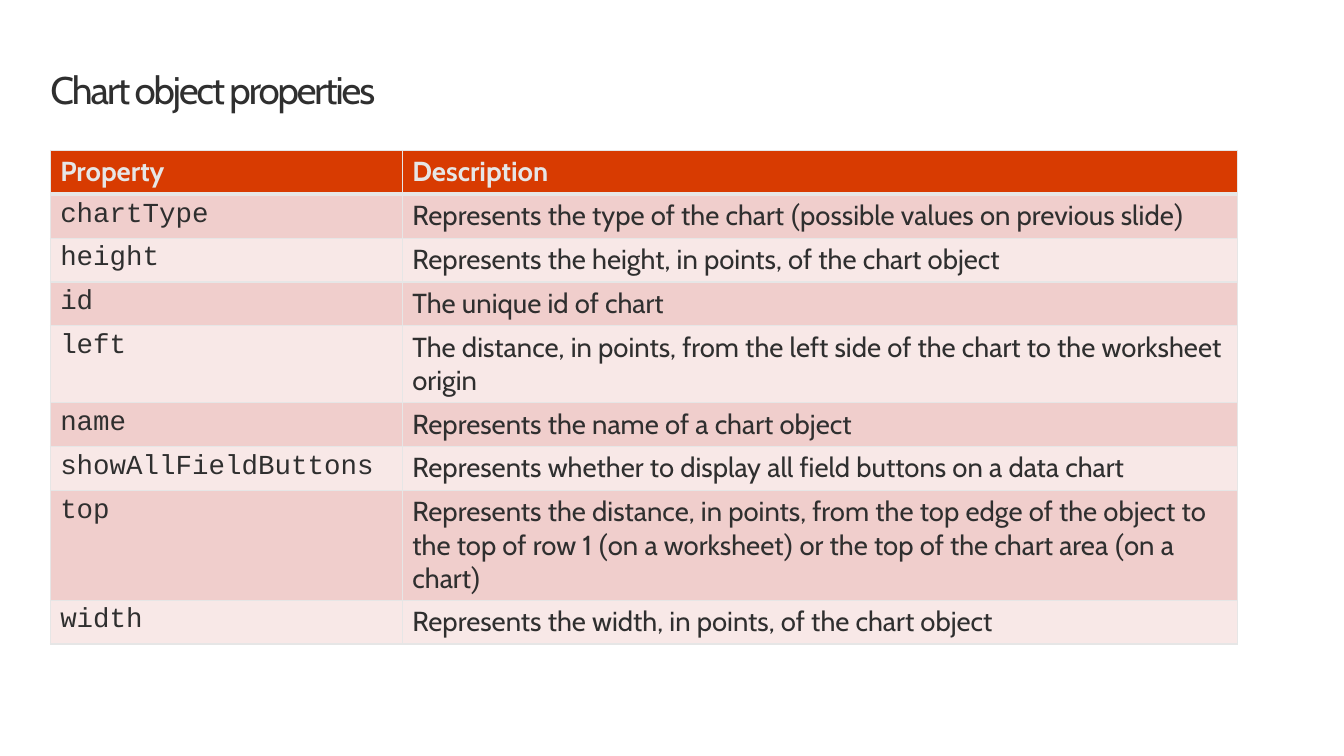
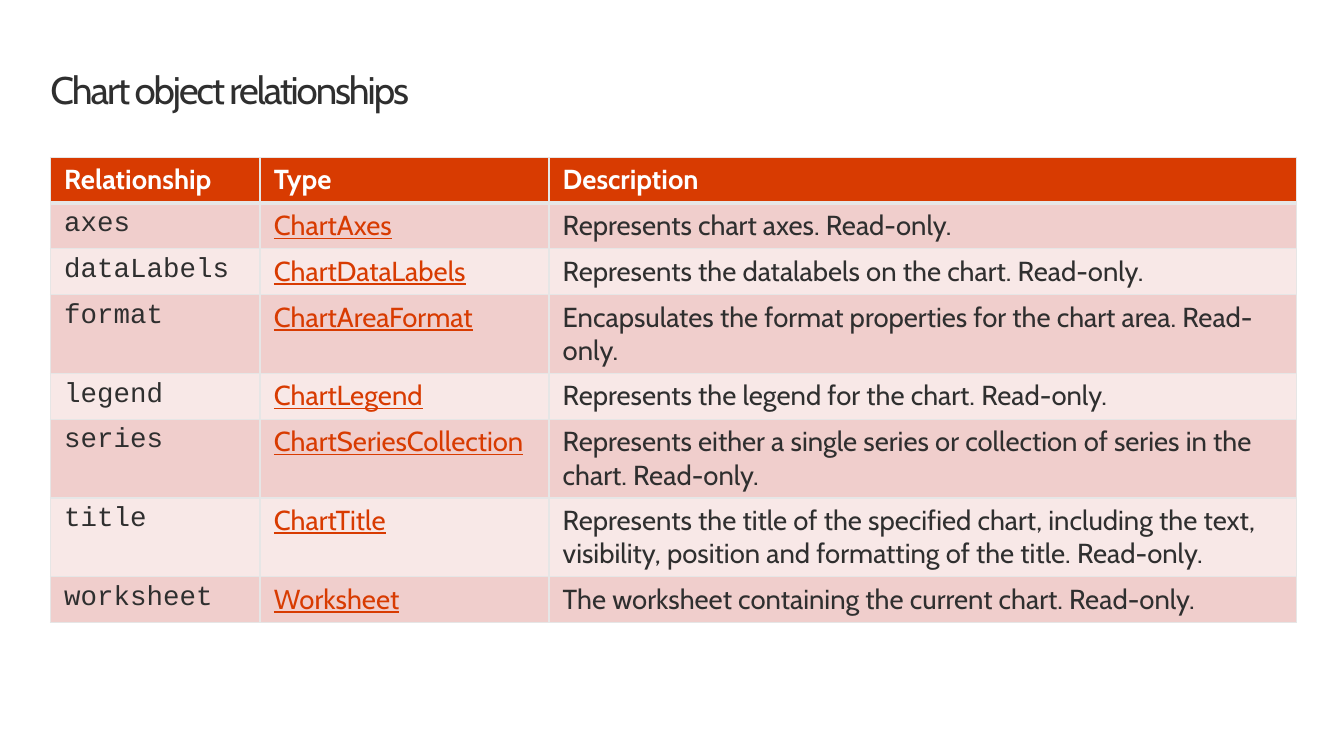
import dataclasses
import itertools

import lxml.etree
import pptx
import pptx.dml.color
import pptx.enum.text
import pptx.oxml.ns
import pptx.util


@dataclasses.dataclass(frozen=True)
class Theme:
    ink: str = "2F2F2F"
    accent: str = "D83B01"
    line: str = "E6E6E6"
    white: str = "FFFFFF"
    bands: tuple = ("F0CECC", "F8E8E7")
    body: str = "Cabin"
    code: str = "Courier New"
    marks: str = "Roboto"
    title: int = 28
    text: int = 20
    thin: int = 1
    thick: int = 3


theme = Theme()
qn = pptx.oxml.ns.qn
Pt = pptx.util.Pt
rgb = pptx.dml.color.RGBColor.from_string


def write(para, text, size, color, face, bold=False, under=False):
    for mark, chars in itertools.groupby(text, lambda c: c in "()"):
        run = para.add_run()
        run.text = "".join(chars)
        font = run.font
        font.name = theme.marks if mark else face
        font.size = Pt(size)
        font.bold = bold
        font.underline = under
        font.color.rgb = rgb(color)
    return run


def border(cell, row):
    props = cell._tc.get_or_add_tcPr()
    for side in "LRTB":
        heavy = (side, row) in (("B", 0), ("T", 1))
        width = Pt(theme.thick if heavy else theme.thin)
        line = lxml.etree.SubElement(props, qn(f"a:ln{side}"), w=str(width))
        fill = lxml.etree.SubElement(line, qn("a:solidFill"))
        lxml.etree.SubElement(fill, qn("a:srgbClr"), val=theme.line)


pages = [
    dict(
        title="Chart object properties",
        top=19.9,
        cols=(26.2, 62.1),
        head=theme.line,
        pad=(0.1, 0.05, 0.06),
        middle=False,
        rows=[
            ("Property", "Description"),
            ("chartType", "Represents the type of the chart (possible values on previous slide)"),
            ("height", "Represents the height, in points, of the chart object"),
            ("id", "The unique id of chart"),
            ("left", "The distance, in points, from the left side of the chart to the worksheet origin"),
            ("name", "Represents the name of a chart object"),
            ("showAllFieldButtons", "Represents whether to display all field buttons on a data chart"),
            ("top", "Represents the distance, in points, from the top edge of the object to "
                    "the top of row 1 (on a worksheet) or the top of the chart area (on a chart)"),
            ("width", "Represents the width, in points, of the chart object"),
        ],
    ),
    dict(
        title="Chart object relationships",
        top=20.8,
        cols=(15.6, 21.5, 55.6),
        head=theme.white,
        pad=(0.14, 0.06, 0.07),
        middle=True,
        rows=[
            ("Relationship", "Type", "Description"),
            ("axes", "ChartAxes", "Represents chart axes. Read-only."),
            ("dataLabels", "ChartDataLabels", "Represents the datalabels on the chart. Read-only."),
            ("format", "ChartAreaFormat",
             "Encapsulates the format properties for the chart area. Read-only."),
            ("legend", "ChartLegend", "Represents the legend for the chart. Read-only."),
            ("series", "ChartSeriesCollection",
             "Represents either a single series or collection of series in the chart. Read-only."),
            ("title", "ChartTitle",
             "Represents the title of the specified chart, including the text, "
             "visibility, position and formatting of the title. Read-only."),
            ("worksheet", "Worksheet", "The worksheet containing the current chart. Read-only."),
        ],
    ),
]

deck = pptx.Presentation()
deck.slide_width = pptx.util.Inches(13.6)
deck.slide_height = pptx.util.Inches(7.65)
wide = deck.slide_width / 100
high = deck.slide_height / 100
left = int(3.75 * wide)
step = int(5.4 * high)

for page in pages:
    slide = deck.slides.add_slide(deck.slide_layouts[6])

    box = slide.shapes.add_textbox(left, int(9 * high), int(92.7 * wide), int(5.9 * high))
    frame = box.text_frame
    frame.word_wrap = True
    frame.auto_size = pptx.enum.text.MSO_AUTO_SIZE.SHAPE_TO_FIT_TEXT
    frame.margin_left = frame.margin_right = 0
    frame.margin_top = frame.margin_bottom = 0
    para = frame.paragraphs[0]
    para.line_spacing = Pt(32)
    run = write(para, page["title"], theme.title, theme.ink, theme.body)
    run._r.get_or_add_rPr().set("spc", "-150")

    rows, cols = page["rows"], page["cols"]
    table = slide.shapes.add_table(
        len(rows), len(cols), left, int(page["top"] * high),
        int(sum(cols) * wide), step * len(rows)).table
    table.horz_banding = False
    for col, share in zip(table.columns, cols):
        col.width = int(share * wide)

    for r, texts in enumerate(rows):
        table.rows[r].height = step
        for c, text in enumerate(texts):
            cell = table.cell(r, c)
            head = r == 0
            last = c == len(cols) - 1
            link = not head and 0 < c and not last
            border(cell, r)
            cell.fill.solid()
            cell.fill.fore_color.rgb = rgb(theme.accent if head else theme.bands[(r - 1) % 2])
            side, over, below = map(pptx.util.Inches, page["pad"])
            cell.margin_left = cell.margin_right = side
            cell.margin_top = over
            cell.margin_bottom = below
            if page["middle"] and (head or last):
                cell.vertical_anchor = pptx.enum.text.MSO_ANCHOR.MIDDLE
            color = page["head"] if head else theme.accent if link else theme.ink
            face = theme.code if c == 0 and not head else theme.body
            write(cell.text_frame.paragraphs[0], text, theme.text, color, face, head, link)

deck.save("out.pptx")
